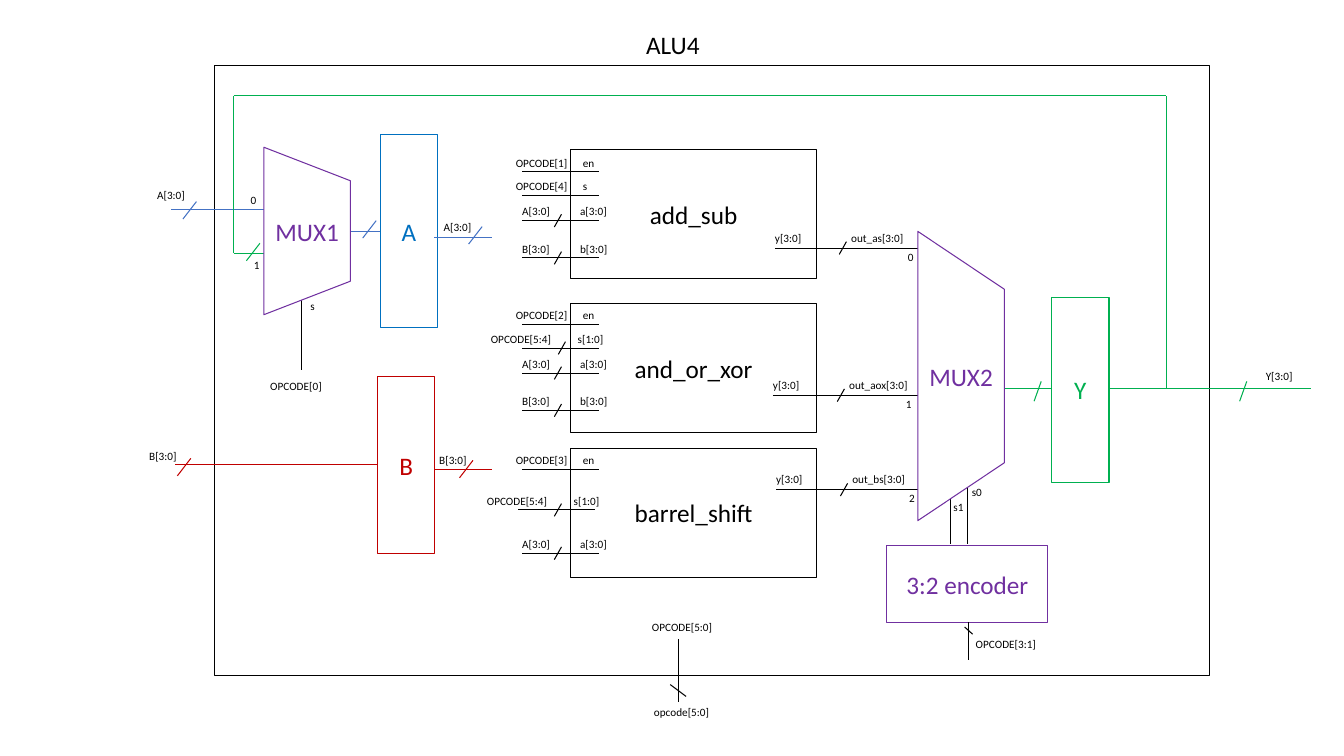
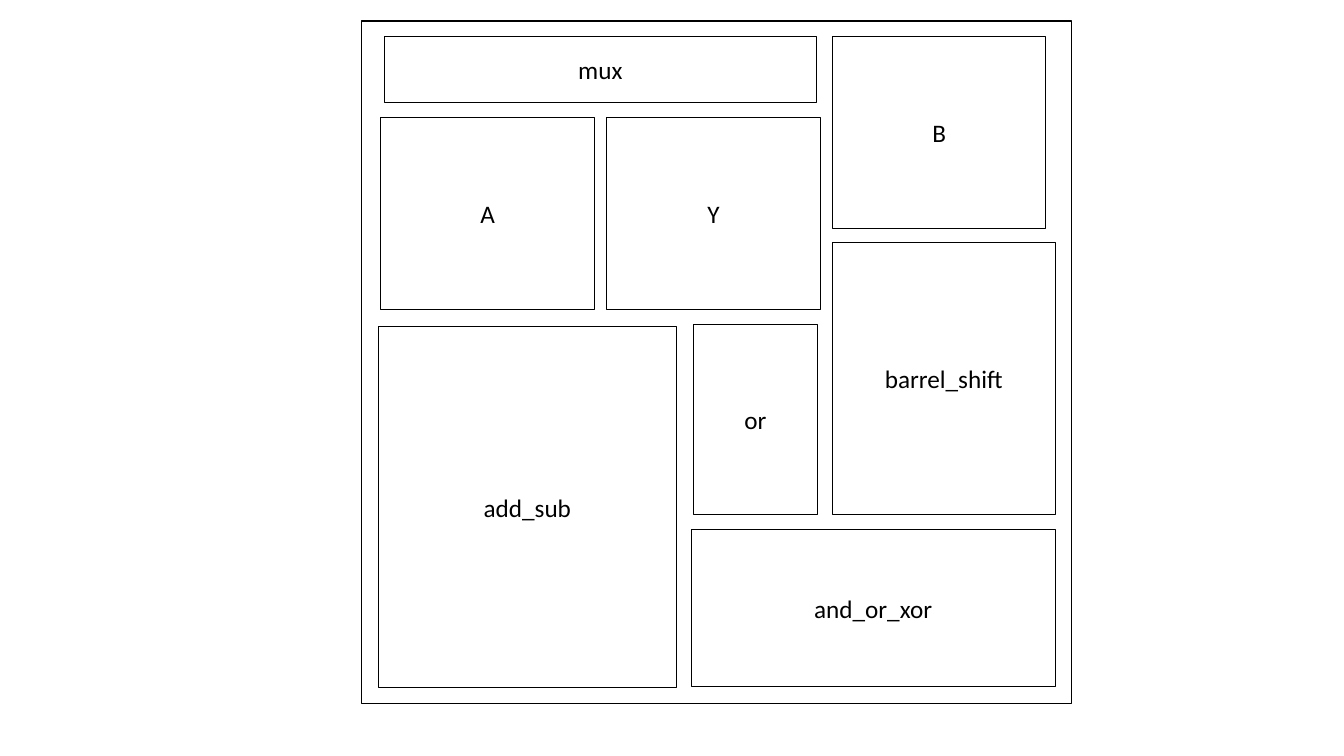
import itertools

import lxml.etree
import pptx
import pptx.dml.color
import pptx.enum.shapes
import pptx.enum.text
import pptx.oxml.ns
import pptx.util

Cm = pptx.util.Cm
SHAPES = pptx.enum.shapes.MSO_SHAPE
ALIGN = pptx.enum.text.PP_ALIGN
ANCHOR = pptx.enum.text.MSO_ANCHOR

BLACK, WHITE = "000000", "FFFFFF"
GREEN, BLUE, RED, PURPLE, WIRE_BLUE = "00B050", "0070C0", "C00000", "7030A0", "4472C4"
TITLE_ONLY, BLANK = 5, 6


def rgb(value):
    return pptx.dml.color.RGBColor.from_string(value)


class Diagram:
    """Holds the drawing style and the current slide."""

    font = "Calibri"
    block_size = 18
    label_size = 8
    line_width = 0.75

    def __init__(self):
        self.presentation = pptx.Presentation()
        self.presentation.slide_width = Cm(33.87)
        self.presentation.slide_height = Cm(19.05)
        self.slide = None

    def new_slide(self, layout):
        self.slide = self.presentation.slides.add_slide(self.presentation.slide_layouts[layout])

    def add_text(self, shape, text, size, color, align, anchor):
        frame = shape.text_frame
        frame.word_wrap = True
        frame.auto_size = pptx.enum.text.MSO_AUTO_SIZE.NONE
        frame.vertical_anchor = anchor
        frame.margin_left = frame.margin_right = frame.margin_top = frame.margin_bottom = 0
        paragraph = frame.paragraphs[0]
        paragraph.alignment = align
        run = paragraph.add_run()
        run.text = text
        run.font.name = self.font
        run.font.size = pptx.util.Pt(size)
        run.font.color.rgb = rgb(color)

    def outline(self, line, color):
        line.color.rgb = rgb(color)
        line.width = pptx.util.Pt(self.line_width)

    def title(self, x, y, width, height, text):
        shape = self.slide.shapes.title
        shape.left, shape.top, shape.width, shape.height = map(Cm, (x, y, width, height))
        self.add_text(shape, text, self.block_size, BLACK, ALIGN.LEFT, ANCHOR.TOP)

    def label(self, x, y, text):
        shape = self.slide.shapes.add_textbox(Cm(x), Cm(y), Cm(1.8), Cm(0.4))
        self.add_text(shape, text, self.label_size, BLACK, ALIGN.LEFT, ANCHOR.TOP)

    def block(self, x, y, width, height, text="", color=BLACK, kind=SHAPES.RECTANGLE):
        shape = self.slide.shapes.add_shape(kind, Cm(x), Cm(y), Cm(width), Cm(height))
        shape.shadow.inherit = False
        shape.fill.background()
        self.outline(shape.line, color)
        if text:
            self.add_text(shape, text, self.block_size, color, ALIGN.CENTER, ANCHOR.MIDDLE)
        return shape

    def mux(self, x, y, width, height, text):
        """Trapezoid turned on its side, with upright text."""
        shift = (height - width) / 2
        shape = self.block(x - shift, y + shift, height, width, text, PURPLE,
                           SHAPES.FLOWCHART_MANUAL_OPERATION)
        shape.rotation = 270
        shape.fill.solid()
        shape.fill.fore_color.rgb = rgb(WHITE)
        shape.element.txBody.bodyPr.set("vert", "vert")

    def wire(self, *points, color=BLACK):
        """Straight segments through the given points."""
        for start, end in itertools.pairwise(points):
            connector = self.slide.shapes.add_connector(
                pptx.enum.shapes.MSO_CONNECTOR.STRAIGHT, *map(Cm, start + end))
            self.outline(connector.line, color)
            lxml.etree.SubElement(connector.element.spPr, pptx.oxml.ns.qn("a:effectLst"))

    def slash(self, x, y, color=BLACK, half_width=0.09, half_height=0.16):
        """Bus mark centred on a wire."""
        self.wire((x - half_width, y + half_height), (x + half_width, y - half_height), color=color)

    def input_port(self, y, port, shift=0):
        outer, outer_x, inner, inner_x, slash_x = port
        self.wire((13.16 + shift, y), (15.09 + shift, y))
        self.label(outer_x + shift, y - 0.4, outer)
        self.label(inner_x + shift, y - 0.4, inner)
        if slash_x:
            self.slash(slash_x + shift, y)

    def output_port(self, x, y, name, mux_input):
        self.wire((x, y), (x + 3.76, y))
        self.slash(x + 1.71, y)
        self.label(x, y - 0.43, "y[3:0]")
        self.label(x + 1.92, y - 0.43, name)
        self.label(x + 3.35, y + 0.05, mux_input)


# Input ports: outer label, its x, inner label, its x, x of the bus mark
def enable(bit):
    return f"OPCODE[{bit}]", 13.0, "en", 14.69, None


SELECT = "OPCODE[4]", 13.0, "s", 14.69, None
SELECT_BUS = "OPCODE[5:4]", 12.37, "s[1:0]", 14.56, 14.16
PORT_A = "A[3:0]", 13.16, "a[3:0]", 14.62, 14.06
PORT_B = "B[3:0]", 13.16, "b[3:0]", 14.62, 14.06

# Units: name, top, input ports (offset from the top, port, shift), output
UNITS = [
    ("add_sub", 3.78,
     [(0.55, enable(1), 0), (1.14, SELECT, 0), (1.78, PORT_A, 0), (2.72, PORT_B, 0)],
     (19.53, 6.25, "out_as[3:0]", "0")),
    ("and_or_xor", 7.65,
     [(0.53, enable(2), 0), (1.12, SELECT_BUS, 0), (1.75, PORT_A, 0), (2.69, PORT_B, 0)],
     (19.48, 9.96, "out_aox[3:0]", "1")),
    ("barrel_shift", 11.3,
     [(0.53, enable(3), 0), (1.55, SELECT_BUS, -0.1), (2.64, PORT_A, 0)],
     (19.56, 12.34, "out_bs[3:0]", "2")),
]

LABELS = [
    (3.96, 4.75, "A[3:0]"), (3.76, 11.33, "B[3:0]"), (31.9, 9.3, "Y[3:0]"),
    (11.18, 5.56, "A[3:0]"), (11.07, 11.43, "B[3:0]"),
    (6.32, 4.88, "0"), (6.4, 6.5, "1"), (7.82, 7.54, "s"), (6.81, 9.55, "OPCODE[0]"),
    (24.49, 12.22, "s0"), (24.03, 12.6, "s1"), (24.59, 16.05, "OPCODE[3:1]"),
    (16.43, 15.62, "OPCODE[5:0]"), (16.48, 17.78, "opcode[5:0]"),
]

FLOORPLAN = [
    (9.12, 0.53, 17.88, 17.2, ""),
    (9.53, 8.23, 7.52, 9.09, "add_sub"),
    (17.42, 13.34, 9.17, 3.96, "and_or_xor"),
    (20.98, 6.1, 5.61, 6.86, "barrel_shift"),
    (15.29, 2.95, 5.38, 4.85, "Y"),
    (9.68, 0.91, 10.9, 1.68, "mux"),
    (17.48, 8.18, 3.12, 4.78, "or"),
    (9.6, 2.95, 5.38, 4.85, "A"),
    (20.98, 0.91, 5.38, 4.85, "B"),
]


def draw_circuit(diagram):
    diagram.new_slide(TITLE_ONLY)
    diagram.title(16.28, 0.74, 9, 0.9, "ALU4")

    # Outer frame, registers and encoder
    diagram.block(5.41, 1.65, 25.07, 15.37)
    diagram.block(9.58, 3.4, 1.45, 4.85, "A", BLUE)
    diagram.block(9.51, 9.49, 1.45, 4.47, "B", RED)
    diagram.block(26.5, 7.5, 1.45, 4.65, "Y", GREEN)
    diagram.block(22.35, 13.74, 4.06, 1.96, "3:2 encoder", PURPLE)

    # Functional units with their ports
    for name, top, inputs, output in UNITS:
        diagram.block(14.38, top, 6.2, 3.25, name)
        for offset, port, shift in inputs:
            diagram.input_port(top + offset, port, shift)
        diagram.output_port(*output)

    # Data wires
    diagram.wire((4.32, 5.28), (6.68, 5.28), color=WIRE_BLUE)
    diagram.wire((8.84, 5.83), (9.58, 5.83), color=WIRE_BLUE)
    diagram.wire((10.95, 5.98), (12.4, 5.98), color=WIRE_BLUE)
    diagram.wire((4.42, 11.71), (9.5, 11.71), color=RED)
    diagram.wire((10.95, 11.84), (12.4, 11.84), color=RED)
    diagram.wire((25.1, 9.8), (26.5, 9.8), color=GREEN)
    diagram.wire((27.94, 9.8), (33.05, 9.8), color=GREEN)
    diagram.wire((29.39, 9.8), (29.39, 2.41), (5.89, 2.41), (5.89, 6.38), (6.7, 6.38), color=GREEN)

    # Control wires: x, top, bottom
    for x, top, bottom in [(7.59, 7.44, 9.32), (17.09, 16.1, 17.7), (24.41, 15.67, 16.64),
                           (23.95, 12.55, 13.72), (24.38, 11.89, 13.72)]:
        diagram.wire((x, top), (x, bottom))

    # Bus marks
    for x, y, color in [(4.78, 5.3, WIRE_BLUE), (9.31, 5.78, WIRE_BLUE), (11.98, 5.93, WIRE_BLUE),
                        (6.38, 6.35, GREEN), (4.64, 11.77, RED), (11.75, 11.82, RED)]:
        diagram.slash(x, y, color, 0.17, 0.22)
    for x in (26.15, 31.33):
        diagram.slash(x, 9.86, GREEN, 0.09, 0.25)
    diagram.slash(17.09, 17.4, BLACK, 0.2, -0.15)
    diagram.slash(24.41, 15.89, BLACK, 0.1, -0.09)

    # Multiplexers cover the wire ends, labels go on top
    diagram.mux(6.65, 3.71, 2.18, 4.22, "MUX1")
    diagram.mux(23.13, 5.83, 2.18, 7.29, "MUX2")
    for label in LABELS:
        diagram.label(*label)


def draw_floorplan(diagram):
    diagram.new_slide(BLANK)
    for area in FLOORPLAN:
        diagram.block(*area)


def main():
    diagram = Diagram()
    draw_circuit(diagram)
    draw_floorplan(diagram)
    diagram.presentation.save("out.pptx")


if __name__ == "__main__":
    main()
